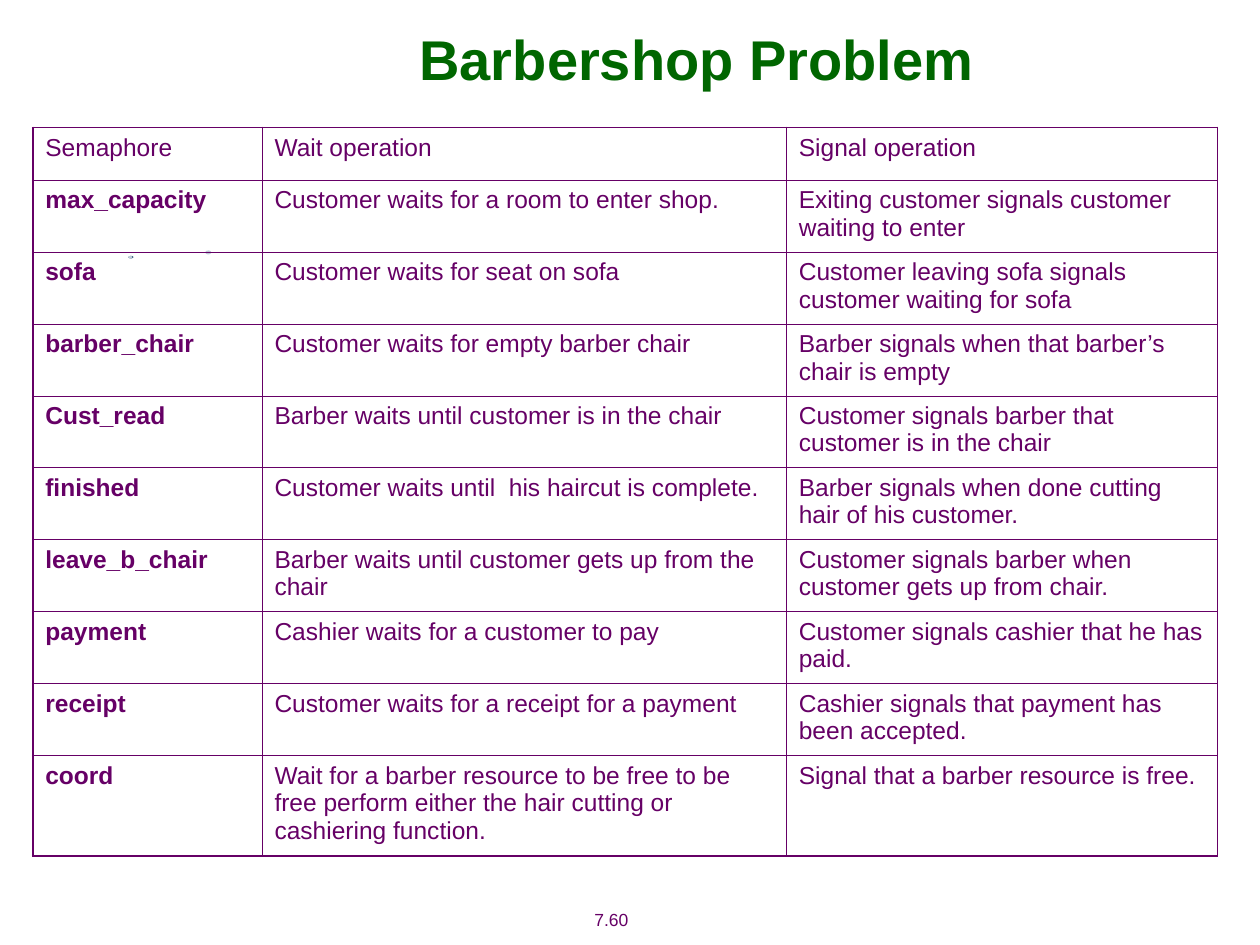
import math
from dataclasses import dataclass

import pptx
import pptx.dml.color
import pptx.enum.text
import pptx.oxml
import pptx.oxml.ns
import pptx.util

Cm = pptx.util.Cm
Pt = pptx.util.Pt
ALIGN = pptx.enum.text.PP_ALIGN
ANCHOR = pptx.enum.text.MSO_ANCHOR


@dataclass(frozen=True)
class Theme:
    font: str = "Arial"
    green: str = "006600"
    plum: str = "660066"
    navy: str = "284C70"
    pale: str = "BFCCD8"
    head: float = 32
    body: float = 14
    foot: float = 10
    thick: float = 1.08
    thin: float = 0.45


THEME = Theme()

ROWS = [
    ("Semaphore", "Wait operation", "Signal operation"),
    ("max_capacity", "Customer waits for a room to enter shop.",
     "Exiting customer signals customer waiting to enter"),
    ("sofa", "Customer waits for seat on sofa",
     "Customer leaving sofa signals customer waiting for sofa"),
    ("barber_chair", "Customer waits for empty barber chair",
     "Barber signals when that barber’s chair is empty"),
    ("Cust_read", "Barber waits until customer is in the chair",
     "Customer signals barber that customer is in the chair"),
    ("finished", "Customer waits until  his haircut is complete.",
     "Barber signals when done cutting hair of his customer."),
    ("leave_b_chair", "Barber waits until customer gets up from the chair",
     "Customer signals barber when customer gets up from chair."),
    ("payment", "Cashier waits for a customer to pay",
     "Customer signals cashier that he has paid."),
    ("receipt", "Customer waits for a receipt for a payment",
     "Cashier signals that payment has been accepted."),
    ("coord", "Wait for a barber resource to be free to be free perform "
     "either the hair cutting or cashiering function.",
     "Signal that a barber resource is free."),
]


def write(frame, text, size=THEME.body, color=THEME.plum, bold=False,
          align=ALIGN.LEFT, anchor=ANCHOR.TOP, wrap=True):
    frame.word_wrap = wrap
    frame.vertical_anchor = anchor
    para = frame.paragraphs[0]
    para.alignment = align
    run = para.add_run()
    run.text = text
    font = run.font
    font.name = THEME.font
    font.size = Pt(size)
    font.bold = bold
    font.color.rgb = pptx.dml.color.RGBColor.from_string(color)


def title(slide, box, text):
    shape = slide.shapes.title
    shape.left, shape.top, shape.width, shape.height = map(Cm, box)
    shape.text_frame.auto_size = pptx.enum.text.MSO_AUTO_SIZE.NONE
    write(shape.text_frame, text, size=THEME.head, color=THEME.green,
          bold=True, align=ALIGN.CENTER, anchor=ANCHOR.MIDDLE)


def speck(slide, box, color):
    left, top, width, height = map(Cm, box)
    turns = [math.tau * step / 12 for step in range(12)]
    points = [(left + width * (1 + math.cos(turn)) / 2,
               top + height * (1 + math.sin(turn)) / 2) for turn in turns]
    path = slide.shapes.build_freeform(*points[0])
    path.add_line_segments(points[1:], close=True)
    shape = path.convert_to_shape()
    shape.shadow.inherit = False
    shape.fill.solid()
    shape.fill.fore_color.rgb = pptx.dml.color.RGBColor.from_string(color)
    shape.line.fill.background()


def border(cell, edges):
    props = cell._tc.get_or_add_tcPr()
    for side in "LRTB":
        width = Pt(THEME.thick if side in edges else THEME.thin)
        props.append(pptx.oxml.parse_xml(
            f'<a:ln{side} {pptx.oxml.ns.nsdecls("a")} w="{width}">'
            f'<a:solidFill><a:srgbClr val="{THEME.plum}"/></a:solidFill>'
            f'</a:ln{side}>'))


def grid(slide, box, rows, widths, heights):
    table = slide.shapes.add_table(
        len(rows), len(widths), *map(Cm, box)).table
    table.first_row = False
    table.horz_banding = False
    for col, width in zip(table.columns, widths):
        col.width = Cm(width)
    for row, height in zip(table.rows, heights):
        row.height = Cm(height)
    for i, row in enumerate(rows):
        for j, text in enumerate(row):
            cell = table.cell(i, j)
            edges = {"L": j == 0, "R": j == len(row) - 1,
                     "T": i == 0, "B": i == len(rows) - 1}
            border(cell, [side for side, on in edges.items() if on])
            cell.fill.background()
            write(cell.text_frame, text, bold=i > 0 and j == 0)


def footer(slide, box, text):
    frame = slide.shapes.add_textbox(*map(Cm, box)).text_frame
    write(frame, text, size=THEME.foot, align=ALIGN.CENTER,
          anchor=ANCHOR.MIDDLE, wrap=False)


def main():
    deck = pptx.Presentation()
    deck.slide_width, deck.slide_height = Cm(25.4), Cm(19.05)
    slide = deck.slides.add_slide(deck.slide_layouts[5])
    speck(slide, (2.59, 5.16, 0.1, 0.05), THEME.navy)
    speck(slide, (2.59, 5.16, 0.08, 0.05), THEME.pale)
    speck(slide, (4.14, 5.05, 0.12, 0.08), THEME.pale)
    title(slide, (3.25, 0, 21.59, 2.34), "Barbershop Problem")
    grid(slide, (0.66, 2.57, 23.88, 14.68), ROWS,
         widths=(4.62, 10.57, 8.69),
         heights=(1.06, *[1.45] * 8, 2.03))
    footer(slide, (11.13, 18.19, 2.39, 0.69), "7.60")
    deck.save("out.pptx")


if __name__ == "__main__":
    main()
